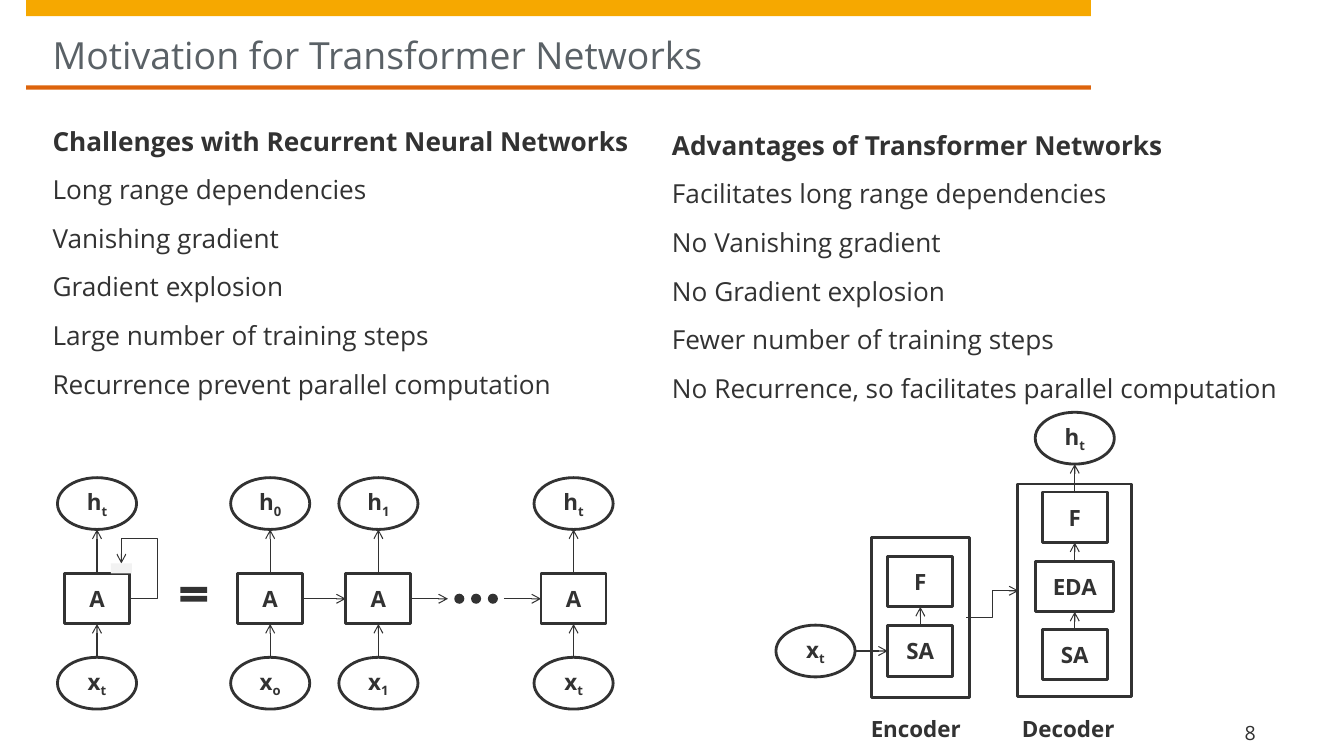
"""Build a slide comparing recurrent networks with transformer networks."""
from lxml import etree
from pptx import Presentation
from pptx.dml.color import RGBColor
from pptx.enum.shapes import MSO_CONNECTOR, MSO_SHAPE
from pptx.enum.text import MSO_ANCHOR, MSO_AUTO_SIZE, PP_ALIGN
from pptx.oxml.ns import qn
from pptx.util import Pt

RECT, OVAL, EQUAL = MSO_SHAPE.RECTANGLE, MSO_SHAPE.OVAL, MSO_SHAPE.MATH_EQUAL
STRAIGHT, ELBOW = MSO_CONNECTOR.STRAIGHT, MSO_CONNECTOR.ELBOW
TOP, MIDDLE, BOTTOM = MSO_ANCHOR.TOP, MSO_ANCHOR.MIDDLE, MSO_ANCHOR.BOTTOM
LEFT, CENTER = PP_ALIGN.LEFT, PP_ALIGN.CENTER

theme = {
    "font": "Open Sans",
    "ink": RGBColor(0x32, 0x32, 0x32),
    "title": RGBColor(0x5A, 0x61, 0x66),
    "amber": RGBColor(0xF6, 0xA8, 0x00),
    "orange": RGBColor(0xDD, 0x64, 0x0C),
    "pale": RGBColor(0xF2, 0xF2, 0xF2),
    "white": RGBColor(0xFF, 0xFF, 0xFF),
    "title_size": 26.7, "body_size": 18.7, "label_size": 16, "number_size": 14,
}

prs = Presentation()
prs.slide_width, prs.slide_height = Pt(960), Pt(540)
s = prs.slides.add_slide(prs.slide_layouts[5])


def node(kind, cx, cy, w, h, text="", sub="", filled=True):
    """Add an outlined shape around a centre, with an optional subscript."""
    sp = s.shapes.add_shape(kind, Pt(cx - w / 2), Pt(cy - h / 2), Pt(w), Pt(h))
    sp.shadow.inherit = False
    if filled:
        sp.fill.solid()
        sp.fill.fore_color.rgb = theme["white"]
    else:
        sp.fill.background()
    sp.line.color.rgb = theme["ink"]
    sp.line.width = Pt(2)
    tf = sp.text_frame
    tf.word_wrap = False
    tf.vertical_anchor = MIDDLE
    p = tf.paragraphs[0]
    p.alignment = CENTER
    for part in filter(None, (text, sub)):
        r = p.add_run()
        r.text = part
        r.font.name, r.font.size = theme["font"], Pt(theme["label_size"])
        r.font.bold = True
        r.font.color.rgb = theme["ink"]
    if sub:
        r.font._element.set("baseline", "-25000")


def arrow(x1, y1, x2, y2, kind=STRAIGHT):
    """Add a thin arrow between two points."""
    c = s.shapes.add_connector(kind, Pt(x1), Pt(y1), Pt(x2), Pt(y2))
    c.line.color.rgb = theme["ink"]
    c.line.width = Pt(0.75)
    etree.SubElement(c.line._get_or_add_ln(), qn("a:tailEnd"), type="arrow")
    etree.SubElement(c._element.spPr, qn("a:effectLst"))
    return c


title = s.shapes.title
title.left, title.top, title.width, title.height = Pt(37.5), Pt(11.5), Pt(722), Pt(44)
tf = title.text_frame
tf.text = "Motivation for Transformer Networks"
tf.auto_size = MSO_AUTO_SIZE.NONE
tf.vertical_anchor = TOP
tf.margin_left = tf.margin_right = tf.margin_bottom = 0
tf.margin_top = Pt(11.5)
p = tf.paragraphs[0]
p.alignment = LEFT
font = p.runs[0].font
font.name, font.size = theme["font"], Pt(theme["title_size"])
font.color.rgb = theme["title"]

challenges = [
    "Challenges with Recurrent Neural Networks", "Long range dependencies",
    "Vanishing gradient", "Gradient explosion", "Large number of training steps",
    "Recurrence prevent parallel computation",
]
advantages = [
    "Advantages of Transformer Networks", "Facilitates long range dependencies",
    "No Vanishing gradient", "No Gradient explosion", "Fewer number of training steps",
    "No Recurrence, so facilitates parallel computation",
]
body, label, number = theme["body_size"], theme["label_size"], theme["number_size"]
texts = [
    (37.5, 85, 438.5, 228, challenges, body, True, 4, Pt(26.7), TOP),
    (480, 88, 471.5, 201, advantages, body, True, 4, Pt(26.7), TOP),
    (622, 510.5, 81, 23, ["Encoder"], label, True, 3, None, TOP),
    (730, 510.5, 81, 23, ["Decoder"], label, True, 3, None, TOP),
    (889, 510.5, 52, 21, ["8"], number, False, 0, None, BOTTOM),
]
for x, y, w, h, lines, size, bold_first, gap, leading, anchor in texts:
    tf = s.shapes.add_textbox(Pt(x), Pt(y), Pt(w), Pt(h)).text_frame
    tf.word_wrap = True
    tf.vertical_anchor = anchor
    tf.margin_left = tf.margin_right = tf.margin_top = tf.margin_bottom = 0
    tf.text = "\n".join(lines)
    for i, p in enumerate(tf.paragraphs):
        p.space_before = p.space_after = Pt(gap)
        p.line_spacing = leading
        font = p.runs[0].font
        font.name, font.size = theme["font"], Pt(size)
        font.bold = bold_first and i == 0
        font.color.rgb = theme["ink"]

box_w, box_h, oval_w, oval_h = 46.5, 36, 56.5, 37
cell_y, hidden_y, input_y = 427.7, 359.7, 488
for cx, hidden, step in [(69.3, "t", "t"), (193, "0", "o"), (270.3, "1", "1"), (409.7, "t", "t")]:
    node(RECT, cx, cell_y, box_w, box_h, "A")
    node(OVAL, cx, hidden_y, oval_w, oval_h, "h", hidden)
    node(OVAL, cx, input_y, oval_w, oval_h, "x", step)
    arrow(cx, cell_y - box_h / 2, cx, hidden_y + oval_h / 2)
    arrow(cx, input_y - oval_h / 2, cx, cell_y + box_h / 2)
for x1, x2 in [(216.3, 247), (293.5, 320), (360, 386.5)]:
    arrow(x1, cell_y, x2, cell_y)

loop = arrow(92.5, cell_y, 86.7, 402.5, ELBOW)
geom = loop._element.spPr.find(qn("a:prstGeom"))
geom.set("prst", "bentConnector4")
for name, value in [("adj1", -341500), ("adj2", 171200)]:
    etree.SubElement(geom.find(qn("a:avLst")), qn("a:gd"), name=name, fmla=f"val {value}")

enc_x, dec_x = 657.4, 767.7
node(RECT, enc_x, 441.2, 70, 114.5, filled=False)
node(RECT, dec_x, 421.8, 81.5, 152, filled=False)
stacks = [
    (enc_x, [("SA", 465, box_w), ("F", 415.5, box_w)]),
    (dec_x, [("SA", 467.5, box_w), ("EDA", 419, 55.5), ("F", 369.5, box_w)]),
]
for cx, layers in stacks:
    for text, cy, w in layers:
        node(RECT, cx, cy, w, box_h, text)
    for (_, low, _), (_, high, _) in zip(layers, layers[1:]):
        arrow(cx, low - box_h / 2, cx, high + box_h / 2)

node(OVAL, dec_x, 313, oval_w, oval_h, "h", "t")
node(OVAL, 582.5, 465, oval_w, oval_h, "x", "t")
arrow(dec_x, 351.5, dec_x, 331.5)
arrow(610.7, 465, enc_x - box_w / 2, 465)
arrow(690, 440.8, 727.5, 422, ELBOW)

solids = [
    (RECT, 18.7, 0, 760.5, 11.5, "amber"),
    (RECT, 18.7, 61, 760.5, 3, "orange"),
    (RECT, 79.2, 402.5, 15, 7, "pale"),
    (EQUAL, 125.5, 415.5, 26, 18, "ink"),
]
solids += [(OVAL, 324.5 + 12 * i, cell_y - 3.6, 7.2, 7.2, "ink") for i in range(3)]
for kind, x, y, w, h, color in solids:
    sp = s.shapes.add_shape(kind, Pt(x), Pt(y), Pt(w), Pt(h))
    sp.shadow.inherit = False
    sp.fill.solid()
    sp.fill.fore_color.rgb = theme[color]
    sp.line.fill.background()

prs.save("out.pptx")
